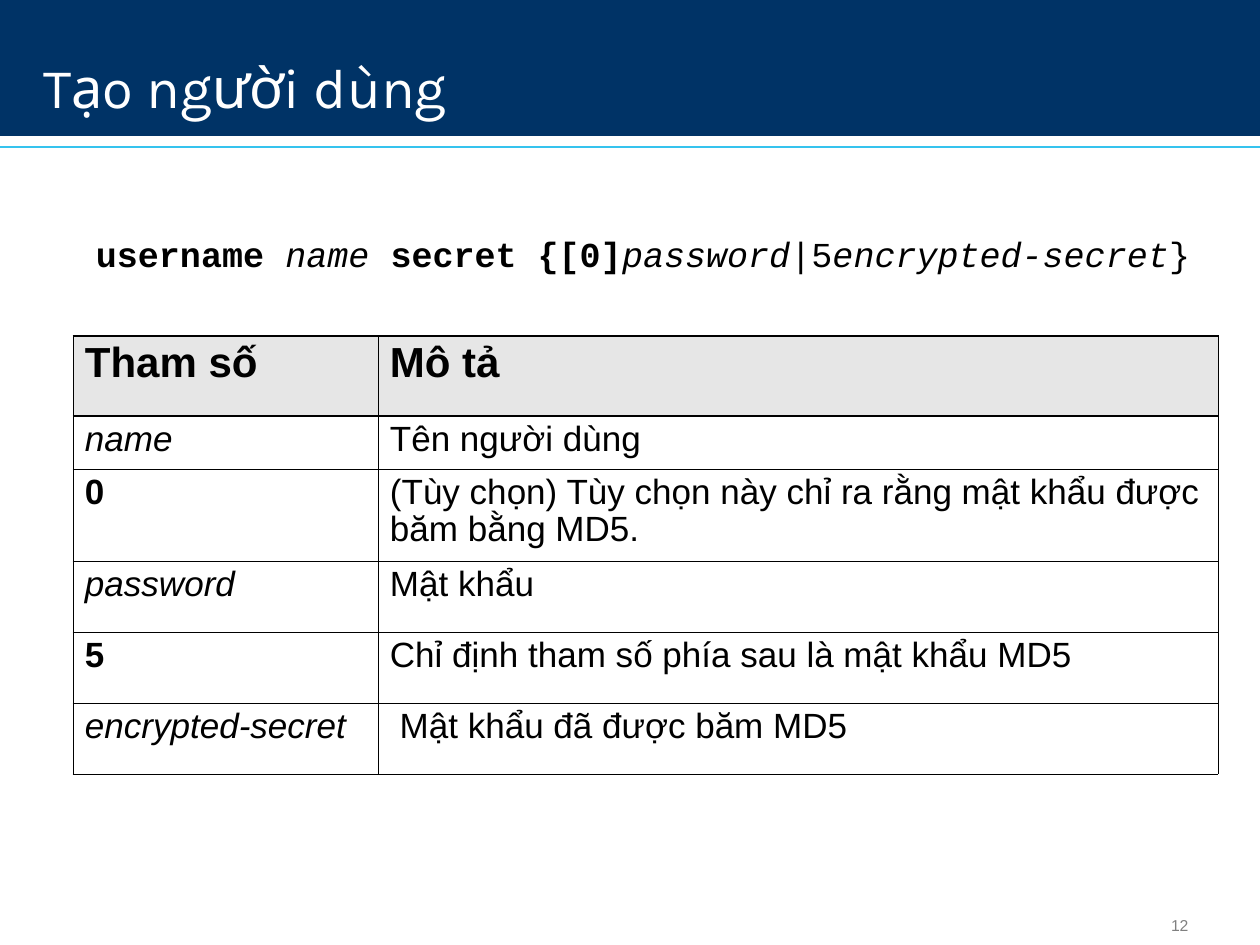
from dataclasses import dataclass

from lxml.etree import SubElement
from pptx import Presentation
from pptx.dml.color import RGBColor
from pptx.enum.shapes import MSO_CONNECTOR, MSO_SHAPE
from pptx.enum.text import MSO_ANCHOR
from pptx.oxml import parse_xml
from pptx.oxml.ns import nsdecls, qn
from pptx.util import Pt

SCALE = 914400 / 126


def px(length):
    return round(length * SCALE)


@dataclass(frozen=True)
class Theme:
    navy: str = "003366"
    sky: str = "35C3EE"
    white: str = "FFFFFF"
    black: str = "000000"
    gray: str = "808080"
    header_fill: str = "E6E6E6"
    title_font: str = "Karla"
    body_font: str = "Arial"
    code_font: str = "Courier New"
    title_size: int = 32
    header_size: int = 24
    body_size: int = 20
    number_size: int = 9
    thin: float = 0.45
    thick: float = 0.96


class SlideBuilder:
    def __init__(self, slide, theme):
        self.shapes = slide.shapes
        self.theme = theme

    def style(self, para, font, size, color):
        para.font.name = font
        para.font.size = Pt(size)
        para.font.color.rgb = RGBColor.from_string(color)

    def band(self, left, top, width, height):
        box = self.shapes.add_shape(
            MSO_SHAPE.RECTANGLE, px(left), px(top), px(width), px(height))
        box.shadow.inherit = False
        box.fill.solid()
        box.fill.fore_color.rgb = RGBColor.from_string(self.theme.navy)
        box.line.fill.background()

    def rule(self, left, right, y):
        line = self.shapes.add_connector(
            MSO_CONNECTOR.STRAIGHT, px(left), px(y), px(right), px(y))
        line.line.color.rgb = RGBColor.from_string(self.theme.sky)
        line.line.width = Pt(0.75)
        SubElement(line._element.spPr, qn("a:effectLst"))

    def text(self, area, spans, font, size, color, anchor, margins, spacing=None):
        box = self.shapes.add_textbox(*map(px, area))
        frame = box.text_frame
        frame.word_wrap = True
        frame.vertical_anchor = anchor
        frame.margin_left = frame.margin_right = px(margins[0])
        frame.margin_top = frame.margin_bottom = px(margins[1])
        para = frame.paragraphs[0]
        para.line_spacing = spacing
        for content, emphasis in spans:
            span = para.add_run()
            span.text = content
            if emphasis:
                setattr(span.font, emphasis, True)
        self.style(para, font, size, color)

    def borders(self, cell, header, below_header):
        theme = self.theme
        widths = {
            "lnL": theme.thin,
            "lnR": theme.thin,
            "lnT": theme.thick if header or below_header else theme.thin,
            "lnB": theme.thick if header else theme.thin,
        }
        properties = cell._tc.get_or_add_tcPr()
        for position, (side, width) in enumerate(widths.items()):
            properties.insert(position, parse_xml(
                f'<a:{side} {nsdecls("a")} w="{Pt(width)}"><a:solidFill>'
                f'<a:srgbClr val="{theme.black}"/></a:solidFill></a:{side}>'))

    def table(self, left, top, columns, heights, rows):
        theme = self.theme
        table = self.shapes.add_table(
            len(rows), len(columns), px(left), px(top),
            px(sum(columns)), px(sum(heights))).table
        table.first_row = table.horz_banding = False
        for column, width in zip(table.columns, columns):
            column.width = px(width)
        for row, height in zip(table.rows, heights):
            row.height = px(height)
        for row_index, row in enumerate(rows):
            header = row_index == 0
            for column_index, (content, emphasis) in enumerate(row):
                cell = table.cell(row_index, column_index)
                cell.margin_left = cell.margin_right = px(12)
                cell.margin_top = cell.margin_bottom = px(6)
                if header:
                    cell.fill.solid()
                    cell.fill.fore_color.rgb = RGBColor.from_string(theme.header_fill)
                else:
                    cell.fill.background()
                self.borders(cell, header, row_index == 1)
                para = cell.text_frame.paragraphs[0]
                para.text = content
                para.line_spacing = 0.95
                para.font.bold = emphasis == "bold"
                para.font.italic = emphasis == "italic"
                size = theme.header_size if header else theme.body_size
                self.style(para, theme.body_font, size, theme.black)


def main():
    theme = Theme()
    deck = Presentation()
    deck.slide_width, deck.slide_height = px(1260), px(945)
    page = SlideBuilder(deck.slides.add_slide(deck.slide_layouts[6]), theme)

    page.band(0, 0, 1260, 136)
    page.rule(0, 1260, 147)
    page.text((1160, 910, 95, 30), [("12", None)], theme.body_font,
              theme.number_size, theme.gray, MSO_ANCHOR.BOTTOM, (11, 5))
    page.text((32, 10, 1175, 116), [("Tạo người dùng", None)], theme.title_font,
              theme.title_size, theme.white, MSO_ANCHOR.BOTTOM, (11, 5), 0.9)

    page.table(73, 336, (305, 840), (80, 53, 92, 71, 71, 71), [
        [("Tham số", "bold"), ("Mô tả", "bold")],
        [("name", "italic"), ("Tên người dùng", None)],
        [("0", "bold"),
         ("(Tùy chọn) Tùy chọn này chỉ ra rằng mật khẩu được băm bằng MD5.", None)],
        [("password", "italic"), ("Mật khẩu", None)],
        [("5", "bold"), ("Chỉ định tham số phía sau là mật khẩu MD5", None)],
        [("encrypted-secret", "italic"), (" Mật khẩu đã được băm MD5", None)],
    ])

    syntax = [
        ("username ", "bold"), ("name", "italic"), (" secret {[0]", "bold"),
        ("password", "italic"), ("|5", None), ("encrypted-secret", "italic"),
        ("}", None),
    ]
    page.text((84, 226, 1134, 55), syntax, theme.code_font,
              theme.body_size, theme.black, MSO_ANCHOR.MIDDLE, (12, 6))
    deck.save("out.pptx")


if __name__ == "__main__":
    main()
